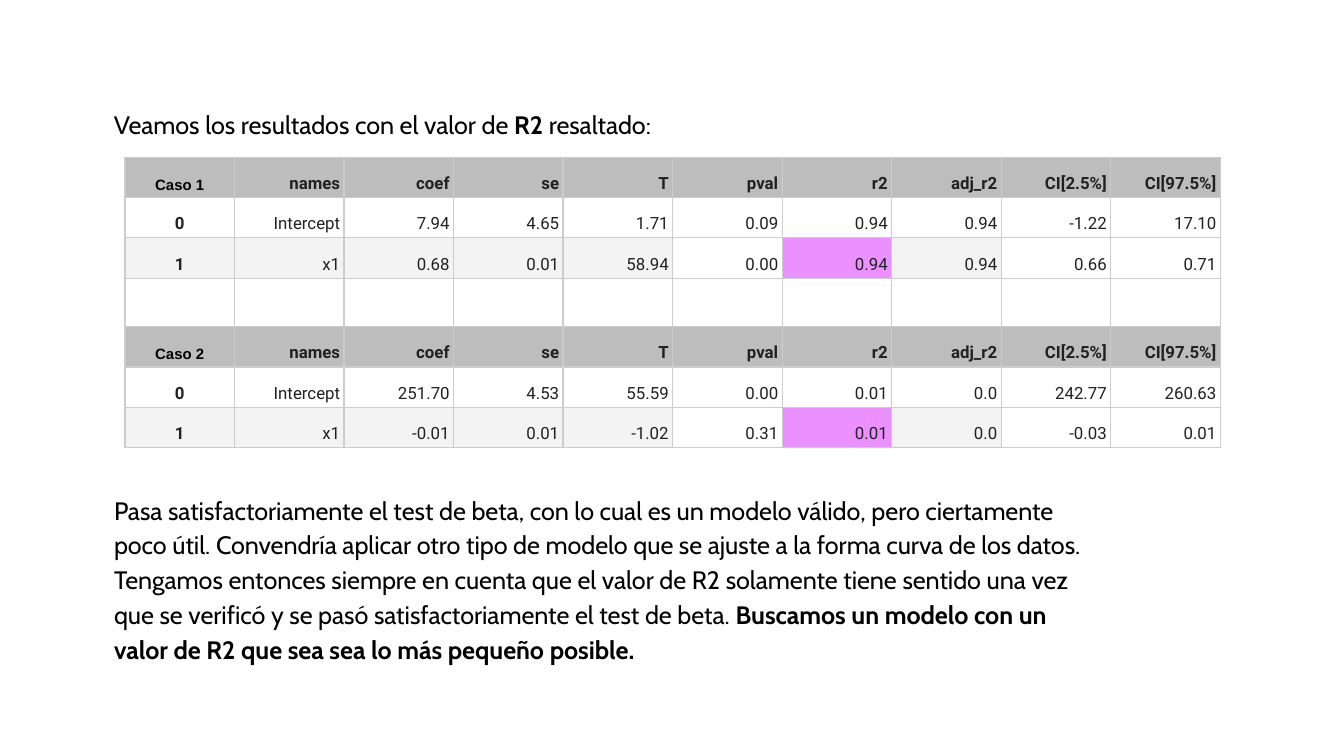
from lxml import etree
from pptx import Presentation
from pptx.dml.color import RGBColor
from pptx.enum.text import MSO_ANCHOR, MSO_AUTO_SIZE, PP_ALIGN
from pptx.oxml.ns import qn
from pptx.util import Inches, Pt

BOTTOM = MSO_ANCHOR.BOTTOM
GROW = MSO_AUTO_SIZE.SHAPE_TO_FIT_TEXT
CENTER, RIGHT = PP_ALIGN.CENTER, PP_ALIGN.RIGHT

COLORS = {
    "text": "000000",
    "data": "212121",
    "header": "BDBDBD",
    "plain": "FFFFFF",
    "shaded": "F3F3F3",
    "highlight": "EA90FF",
    "border": "CCCCCC",
}
BODY = {"name": "Cabin", "size": Pt(13.5)}
CASE = {"name": "Arial", "size": Pt(8), "bold": True}
DATA = {"name": "Roboto", "size": Pt(9)}


def add_run(paragraph, text, color, bold, formats):
    run = paragraph.add_run()
    run.text = text
    run.font.bold = bold
    run.font.color.rgb = RGBColor.from_string(COLORS[color])
    for name, value in formats.items():
        setattr(run.font, name, value)


def add_borders(cell):
    properties = cell._tc.get_or_add_tcPr()
    for position, side in enumerate(("lnL", "lnR", "lnT", "lnB")):
        line = etree.Element(qn(f"a:{side}"), w=str(Pt(0.75)))
        fill = etree.SubElement(line, qn("a:solidFill"))
        etree.SubElement(fill, qn("a:srgbClr"), val=COLORS["border"])
        properties.insert(position, line)


presentation = Presentation()
presentation.slide_width = Inches(10)
presentation.slide_height = Inches(10) * 9 // 16
slide = presentation.slides.add_slide(presentation.slide_layouts[6])

text_boxes = [
    ((0.75, 0.6, 6.66, 1.65), 1.5, [
        ("Veamos los resultados con el valor de ", False),
        ("R2", True),
        (" resaltado:", False),
    ]),
    ((0.75, 3.55, 7.51, 2.95), 1.15, [
        ("Pasa satisfactoriamente el test de beta, con lo cual es un modelo válido, "
         "pero ciertamente poco útil. Convendría aplicar otro tipo de modelo que se "
         "ajuste a la forma curva de los datos. Tengamos entonces siempre en cuenta "
         "que el valor de R2 solamente tiene sentido una vez que se verificó y se "
         "pasó satisfactoriamente el test de beta. ", False),
        ("Buscamos un modelo con un valor de R2 que sea sea lo más pequeño posible.", True),
    ]),
]
for bounds, line_spacing, runs in text_boxes:
    frame = slide.shapes.add_textbox(*map(Inches, bounds)).text_frame
    frame.word_wrap = True
    frame.auto_size = GROW
    for side in ("left", "right", "top", "bottom"):
        setattr(frame, f"margin_{side}", Inches(0.1))
    paragraph = frame.paragraphs[0]
    paragraph.line_spacing = line_spacing
    for text, bold in runs:
        add_run(paragraph, text, "text", bold, BODY)

headings = ["names", "coef", "se", "T", "pval", "r2", "adj_r2", "CI[2.5%]", "CI[97.5%]"]
rows = [
    ("header", ["Caso 1", *headings]),
    ("plain", ["0", "Intercept", "7.94", "4.65", "1.71", "0.09", "0.94", "0.94", "-1.22", "17.10"]),
    ("shaded", ["1", "x1", "0.68", "0.01", "58.94", "0.00", "0.94", "0.94", "0.66", "0.71"]),
    ("empty", [""] * 10),
    ("header", ["Caso 2", *headings]),
    ("plain", ["0", "Intercept", "251.70", "4.53", "55.59", "0.00", "0.01", "0.0", "242.77", "260.63"]),
    ("shaded", ["1", "x1", "-0.01", "0.01", "-1.02", "0.31", "0.01", "0.0", "-0.03", "0.01"]),
]
R2_COLUMN = headings.index("r2") + 1
UNSHADED_COLUMNS = (5, 8, 9)

table = slide.shapes.add_table(
    len(rows), 10, Inches(0.93), Inches(1.17), Inches(8.15), Inches(2.16)
).table
table.first_row = False
table.horz_banding = False

for row_index, (kind, values) in enumerate(rows):
    table.rows[row_index].height = Inches(0.36 if kind == "empty" else 0.3)
    for column, text in enumerate(values):
        cell = table.cell(row_index, column)
        cell.vertical_anchor = BOTTOM
        for side in ("left", "right", "top", "bottom"):
            setattr(cell, f"margin_{side}", Inches(0.03))

        fill = kind
        if kind == "shaded" and column == R2_COLUMN:
            fill = "highlight"
        elif kind == "shaded" and column in UNSHADED_COLUMNS:
            fill = "empty"
        if fill == "empty":
            cell.fill.background()
        else:
            cell.fill.solid()
            cell.fill.fore_color.rgb = RGBColor.from_string(COLORS[fill])
        add_borders(cell)

        if text:
            paragraph = cell.text_frame.paragraphs[0]
            paragraph.alignment = RIGHT if column else CENTER
            paragraph.line_spacing = 1.15
            if kind == "header" and column == 0:
                add_run(paragraph, text, "text", True, CASE)
            else:
                add_run(paragraph, text, "data", kind == "header" or column == 0, DATA)

presentation.save("out.pptx")
